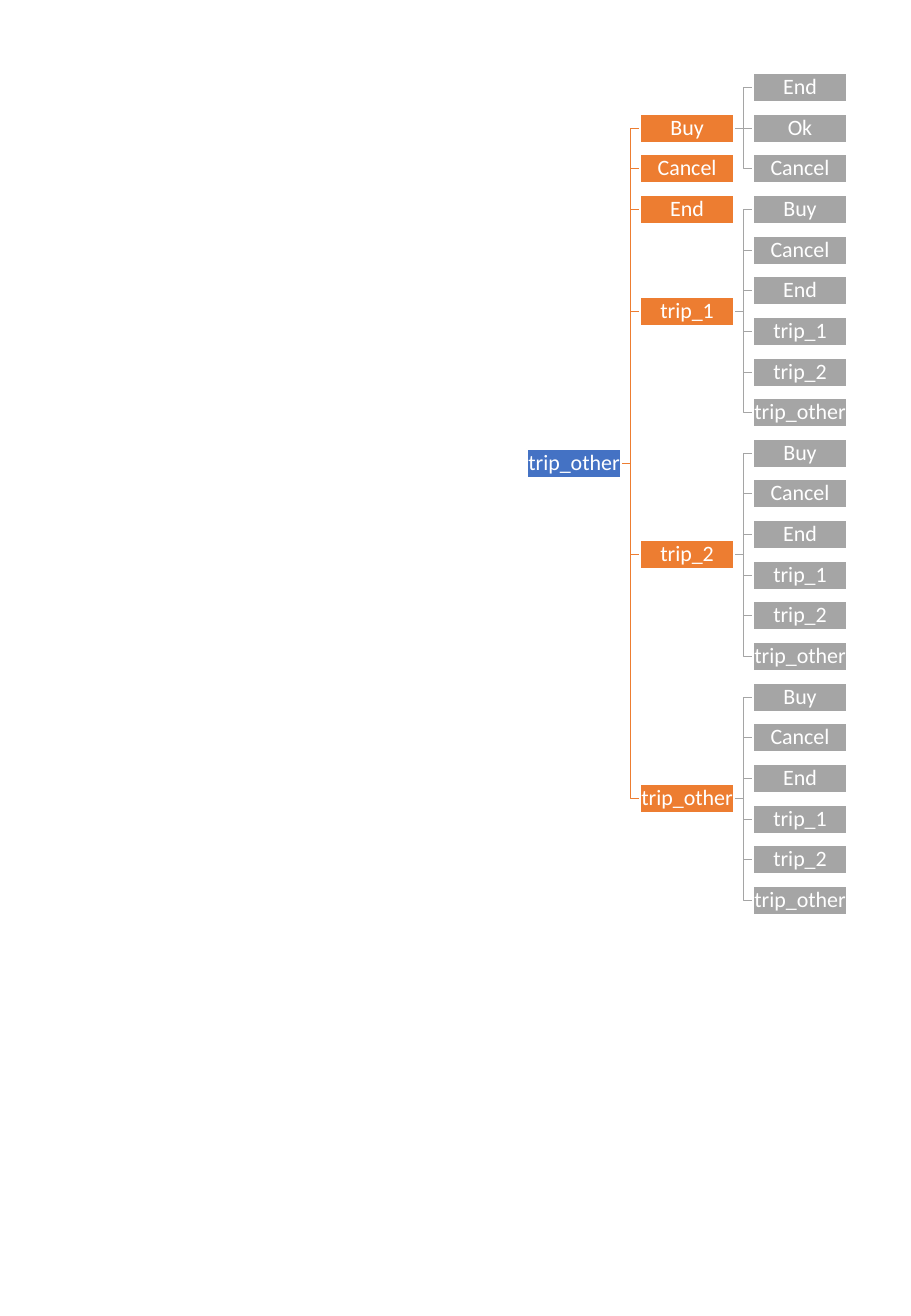
"""Build a three-level tree of user choices starting from trip_other."""
from lxml.etree import SubElement
from pptx import Presentation
from pptx.dml.color import RGBColor
from pptx.enum.shapes import MSO_CONNECTOR as LINK, MSO_SHAPE as SHAPE
from pptx.enum.text import MSO_ANCHOR as ANCHOR, PP_ALIGN as ALIGN
from pptx.oxml.ns import qn
from pptx.util import Pt

PX = 7526
BLUE = RGBColor(0x44, 0x72, 0xC4)
ORANGE = RGBColor(0xED, 0x7D, 0x31)
GRAY = RGBColor(0xA5, 0xA5, 0xA5)
WHITE = RGBColor(0xFF, 0xFF, 0xFF)
LEVEL_COLORS = [BLUE, ORANGE, GRAY]

LEFT, TOP = 527, 73
NODE_W, NODE_H = 94, 29
LEVEL_STEP = 113
TREE_H, LAST_ROW = 813, 20

TRIP_CHOICES = ["Buy", "Cancel", "End", "trip_1", "trip_2", "trip_other"]
BRANCHES = [
    ("Buy", 0, ["End", "Ok", "Cancel"]),
    ("Cancel", 2, []),
    ("End", 3, []),
    ("trip_1", 3, TRIP_CHOICES),
    ("trip_2", 9, TRIP_CHOICES),
    ("trip_other", 15, TRIP_CHOICES),
]

prs = Presentation()
prs.slide_width, prs.slide_height = 911 * PX, 1316 * PX
slide = prs.slides.add_slide(prs.slide_layouts[6])
shapes = slide.shapes


def add_node(label, level, row):
    top = TOP + round(row * TREE_H / LAST_ROW)
    node = shapes.add_shape(SHAPE.RECTANGLE, (LEFT + level * LEVEL_STEP) * PX,
                            top * PX, NODE_W * PX, NODE_H * PX)
    node.shadow.inherit = False
    node.fill.solid()
    node.fill.fore_color.rgb = LEVEL_COLORS[level]
    node.line.color.rgb = WHITE
    node.line.width = Pt(1)
    frame = node.text_frame
    frame.text = label
    frame.word_wrap = False
    frame.vertical_anchor = ANCHOR.MIDDLE
    frame.margin_left = frame.margin_right = PX
    frame.margin_top = frame.margin_bottom = PX
    paragraph = frame.paragraphs[0]
    paragraph.alignment = ALIGN.CENTER
    paragraph.line_spacing = 0.9
    font = paragraph.runs[0].font
    font.name, font.size, font.color.rgb = "Calibri", Pt(13), WHITE
    return node


def link_nodes(parent, child, color):
    kind = LINK.STRAIGHT if parent.top == child.top else LINK.ELBOW
    branch_line = shapes.add_connector(kind, 0, 0, 0, 0)
    branch_line.begin_connect(parent, 3)
    branch_line.end_connect(child, 1)
    branch_line.line.color.rgb = color
    branch_line.line.width = Pt(1)
    SubElement(branch_line._element.spPr, qn("a:effectLst"))
    shapes._spTree.insert(2, branch_line._element)


branch_rows = [first + max(len(choices) - 1, 0) / 2
               for _, first, choices in BRANCHES]
root = add_node("trip_other", 0, (branch_rows[0] + branch_rows[-1]) / 2)

for (label, first, choices), row in zip(BRANCHES, branch_rows):
    branch = add_node(label, 1, row)
    link_nodes(root, branch, ORANGE)
    for offset, choice in enumerate(choices):
        leaf = add_node(choice, 2, first + offset)
        link_nodes(branch, leaf, GRAY)

prs.save("out.pptx")
